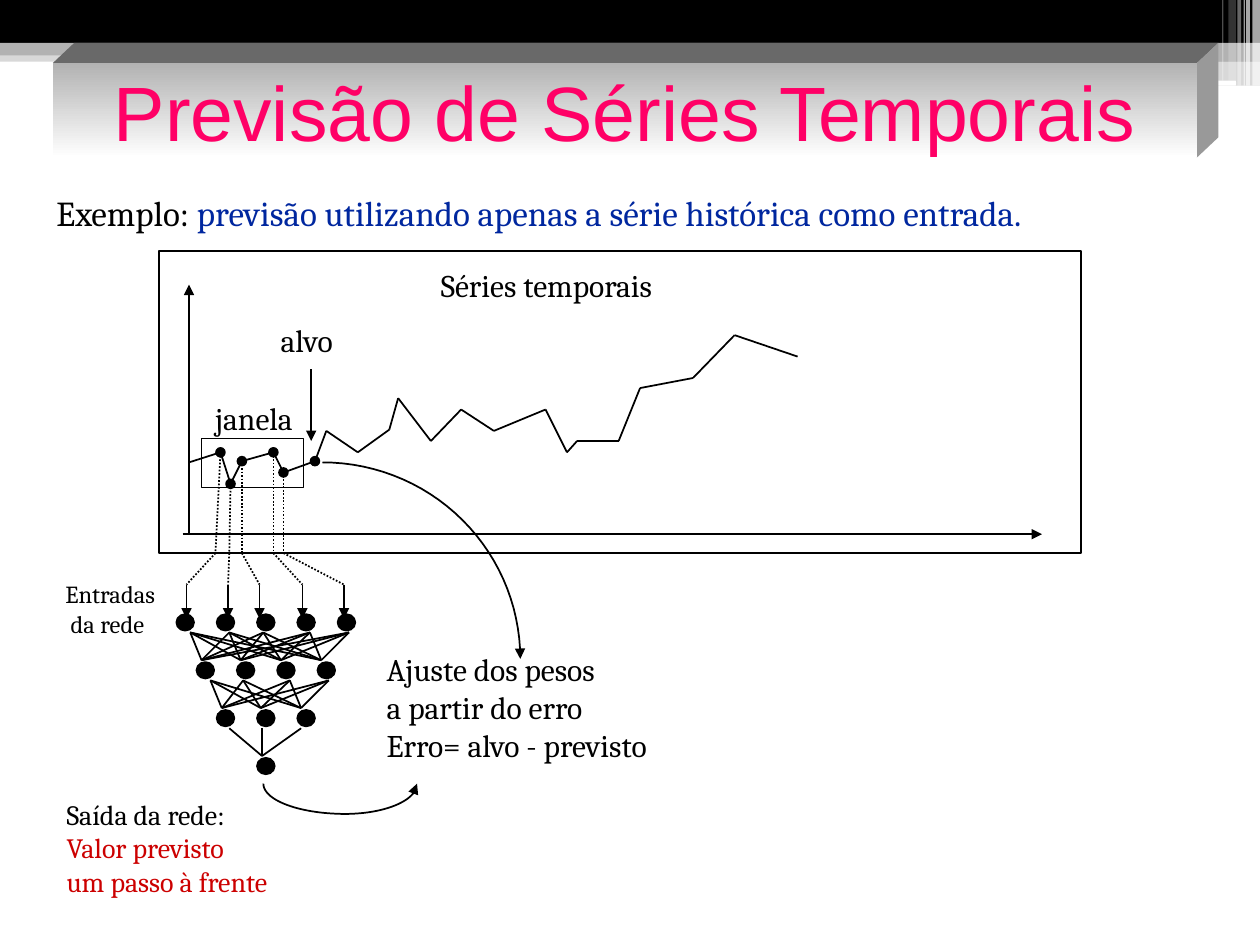
from dataclasses import dataclass
from itertools import pairwise, product
from math import cos, radians, sin
from typing import Any

from lxml.etree import SubElement
from pptx import Presentation
from pptx.dml.color import RGBColor
from pptx.enum.dml import MSO_LINE
from pptx.enum.shapes import MSO_CONNECTOR, MSO_SHAPE
from pptx.enum.text import MSO_ANCHOR, MSO_AUTO_SIZE, PP_ALIGN
from pptx.oxml.ns import qn
from pptx.util import Inches, Pt

COLORS = {"black": "000000", "white": "FFFFFF", "gray": "B2B2B2", "top": "696969",
          "side": "999999", "pink": "FF0066", "blue": "00279F", "red": "CC0000"}


def rgb(name):
    """Return a palette colour."""
    return RGBColor.from_string(COLORS[name])


def style_font(font, size, color="black", face="Cambria"):
    """Set the size, colour and face of a font."""
    font.size, font.name = Pt(size), face
    font.color.rgb = rgb(color)


def style_line(shape, end=None):
    """Give a shape a black one-point outline with an optional arrowhead."""
    shape.line.color.rgb = rgb("black")
    shape.line.width = Pt(1)
    if end:
        SubElement(shape.line._get_or_add_ln(), qn(f"a:{end}"), type="triangle")


@dataclass
class Region:
    """Draws parts at offsets from its own corner."""
    slide: Any
    left: float = 0
    top: float = 0

    def place(self, x, y):
        """Convert an offset to slide lengths."""
        return Inches(self.left + x), Inches(self.top + y)

    def shape(self, x, y, width, height, fill=None, outline=True, alpha=100,
              kind=MSO_SHAPE.RECTANGLE):
        """Add a preset shape."""
        shape = self.slide.shapes.add_shape(
            kind, *self.place(x, y), Inches(width), Inches(height))
        shape.shadow.inherit = False
        if fill:
            shape.fill.solid()
            shape.fill.fore_color.rgb = rgb(fill)
            if alpha < 100:
                color = shape.element.spPr.find(qn("a:solidFill"))[0]
                SubElement(color, qn("a:alpha"), val=str(alpha * 1000))
        else:
            shape.fill.background()
        if outline:
            style_line(shape)
        else:
            shape.line.fill.background()

    def dot(self, x, y, width=0.07, height=0.07):
        """Add a black dot centred on a point."""
        self.shape(x - width / 2, y - height / 2, width, height, "black",
                   kind=MSO_SHAPE.OVAL)

    def line(self, start, finish, dotted=False, arrow=False):
        """Add a straight line between two points."""
        connector = self.slide.shapes.add_connector(
            MSO_CONNECTOR.STRAIGHT, *self.place(*start), *self.place(*finish))
        connector.line.color.rgb = rgb("black")
        connector.line.width = Pt(1)
        if dotted:
            connector.line.dash_style = MSO_LINE.ROUND_DOT
        if arrow:
            style_line(connector, "tailEnd")
        SubElement(connector.element.spPr, qn("a:effectLst"))

    def outline(self, points, fill=None, end=None):
        """Add a filled polygon or an open path."""
        corners = [self.place(*point) for point in points]
        builder = self.slide.shapes.build_freeform(*corners[0])
        builder.add_line_segments(corners[1:], close=bool(fill))
        shape = builder.convert_to_shape()
        shape.shadow.inherit = False
        if fill:
            shape.fill.solid()
            shape.fill.fore_color.rgb = rgb(fill)
            shape.line.fill.background()
        else:
            shape.fill.background()
            style_line(shape, end)

    def quarter(self, x, y, width, height, start, end=None):
        """Add a quarter ellipse clockwise from a start angle."""
        angles = [radians(start + 90 * step / 30) for step in range(31)]
        self.outline([(x + width * cos(angle), y + height * sin(angle))
                      for angle in angles], end=end)

    def text(self, x, y, width, height, lines, size=18):
        """Add unwrapped text from pairs of line and colour."""
        box = self.slide.shapes.add_textbox(
            *self.place(x, y), Inches(width), Inches(height))
        frame = box.text_frame
        frame.word_wrap = False
        frame.text = "\n".join(line for line, color in lines)
        for paragraph, (line, color) in zip(frame.paragraphs, lines):
            style_font(paragraph.runs[0].font, size, color)


def draw_banner(region):
    """Draw the top bars and the vertical stripes."""
    for x, y, width, height, fill, alpha in [
            (0, 0.4, 10, 0.09, "gray", 50), (0, 0, 10, 0.34, "black", 100),
            (0, 0.34, 10, 0.1, "gray", 100), (5.92, 0.39, 4.08, 0.1, "gray", 100),
            (5.92, 0.48, 4.08, 0.2, "gray", 50)]:
        region.shape(x, y, width, height, fill, False, alpha)
    for x, y, width, height in [(5.91, 0.54, 3.35, 0.03), (8.06, 0.64, 1.75, 0.04)]:
        region.shape(x, y, width, height, "white", False,
                     kind=MSO_SHAPE.ROUNDED_RECTANGLE)
    for x, width, height, alpha in [
            (9.94, 0.06, 0.68, 65), (9.89, 0.03, 0.68, 65), (9.87, 0.01, 0.68, 60),
            (9.82, 0.03, 0.68, 40), (9.75, 0.06, 0.64, 20), (9.7, 0.01, 0.64, 30)]:
        region.shape(x, 0, width, height, "white", False, alpha)


def place_holder(region, shape, width, height):
    """Move a placeholder to a region and bring it forward."""
    shape.left, shape.top = region.place(0, 0)
    shape.width, shape.height = Inches(width), Inches(height)
    shape.text_frame.auto_size = MSO_AUTO_SIZE.NONE
    region.slide.shapes.element.append(shape.element)


def draw_title(region, width=9.08, height=0.75, depth=0.17):
    """Draw the raised title panel."""
    region.outline([(0, 0), (depth, -0.16), (width + depth, -0.16), (width, 0)], "top")
    region.outline([(width, 0), (width + depth, -0.16),
                    (width + depth, height - 0.16), (width, height)], "side")
    title = region.slide.shapes.title
    place_holder(region, title, width, height)
    title.fill.gradient()
    title.fill.gradient_angle = 270
    for stop, color in zip(title.fill.gradient_stops, ("gray", "white")):
        stop.color.rgb = rgb(color)
    frame = title.text_frame
    frame.text = "Previsão de Séries Temporais"
    frame.vertical_anchor = MSO_ANCHOR.MIDDLE
    frame.paragraphs[0].alignment = PP_ALIGN.CENTER
    style_font(frame.paragraphs[0].runs[0].font, 44, "pink", "Arial")


def draw_example(region):
    """Write the example sentence."""
    body = region.slide.placeholders[1]
    place_holder(region, body, 9.42, 0.75)
    paragraph = body.text_frame.paragraphs[0]
    paragraph.line_spacing, paragraph.space_before = 1.4, Pt(0)
    properties = paragraph._p.get_or_add_pPr()
    properties.set("marL", "0")
    properties.set("indent", "0")
    SubElement(properties, qn("a:buNone"))
    for text, size, color, face in [
            (" ", 28, "blue", "Times New Roman"), ("Exemplo:", 20, "black", "Cambria"),
            (" previsão utilizando apenas a série histórica como entrada.", 20, "blue",
             "Cambria")]:
        run = paragraph.add_run()
        run.text = text
        style_font(run.font, size, color, face)


def draw_series(region):
    """Draw the time series, its window and the links to the network."""
    series = [(0.24, 1.68), (0.49, 1.6), (0.57, 1.85), (0.66, 1.67), (0.91, 1.6),
              (0.99, 1.76), (1.24, 1.67), (1.33, 1.43), (1.58, 1.6), (1.83, 1.42),
              (1.9, 1.17), (2.16, 1.51), (2.4, 1.26), (2.66, 1.43), (3.07, 1.26),
              (3.24, 1.6), (3.32, 1.51), (3.65, 1.51), (3.82, 1.09), (4.24, 1.01),
              (4.57, 0.67), (5.07, 0.84)]
    region.shape(0, 0, 7.32, 2.4)
    region.line((0.24, 2.25), (0.24, 0.27), arrow=True)
    region.line((0.19, 2.25), (7.01, 2.25), arrow=True)
    for start, finish in pairwise(series):
        region.line(start, finish)
    region.shape(0.34, 1.49, 0.81, 0.39)
    for point in series[1:7]:
        region.dot(*point)
    bends, inputs = (0.45, 0.56, 0.66, 0.91, 0.99), (0.22, 0.55, 0.8, 1.14, 1.47)
    for point, bend, entry in zip(series[1:6], bends, inputs):
        region.line(point, (bend, 2.4), dotted=True)
        region.line((bend, 2.4), (entry, 2.65), dotted=True)
        region.line((entry, 2.65), (entry, 2.92), arrow=True)
    region.line((1.21, 0.94), (1.21, 1.51), arrow=True)
    for x, y, width, text in [(2.14, 0.07, 2.21, "Séries temporais"),
                              (0.35, 1.13, 0.86, "janela"), (0.87, 0.51, 0.7, "alvo")]:
        region.text(x, y, width, 0.4, [(text, "black")])


def draw_network(region):
    """Draw the layers of the network and their connections."""
    row_gap, node_gap = 0.38, 0.32
    for row, count in enumerate((5, 4, 3, 1)):
        for column in range(count):
            region.dot(0.07 + (5 - count + 2 * column) * node_gap / 2,
                       0.06 + row * row_gap, 0.14, 0.13)
    layers = [((0.11, 0.42, 0.69, 1.06, 1.37), (0.2, 0.51, 0.83, 1.15)),
              ((0.27, 0.53, 0.9, 1.21), (0.36, 0.67, 0.99)),
              ((0.42, 0.68, 0.99), (0.68,))]
    for row, (sources, targets) in enumerate(layers):
        for source, target in product(sources, targets):
            region.line((source, 0.14 + row * row_gap), (target, 0.36 + row * row_gap))


def draw_feedback(region):
    """Draw the curved arrows and the captions of the network."""
    region.quarter(2.56, 5.23, 1.57, 1.56, 270, "tailEnd")
    region.quarter(2.74, 6.22, 0.57, 0.24, 0, "headEnd")
    region.quarter(2.74, 6.22, 0.65, 0.24, 90)
    region.text(2.97, 5.11, 2.62, 1, [(line, "black") for line in (
        "Ajuste dos pesos", "a partir do erro", "Erro= alvo - previsto")])
    region.text(0.42, 4.55, 1.03, 0.56, [("Entradas", "black"), (" da rede", "black")], 14)
    region.text(0.43, 6.28, 2.1, 0.9, [("Saída da rede:", "black"), (
        "Valor previsto", "red"), ("um passo à frente", "red")], 16)


presentation = Presentation()
presentation.slide_width, presentation.slide_height = Inches(10), Inches(7.5)
slide = presentation.slides.add_slide(presentation.slide_layouts[1])
draw_banner(Region(slide))
draw_series(Region(slide, 1.26, 1.99))
draw_network(Region(slide, 1.4, 4.88))
draw_feedback(Region(slide))
draw_example(Region(slide, 0.25, 1.17))
draw_title(Region(slide, 0.42, 0.5))
presentation.save("out.pptx")
